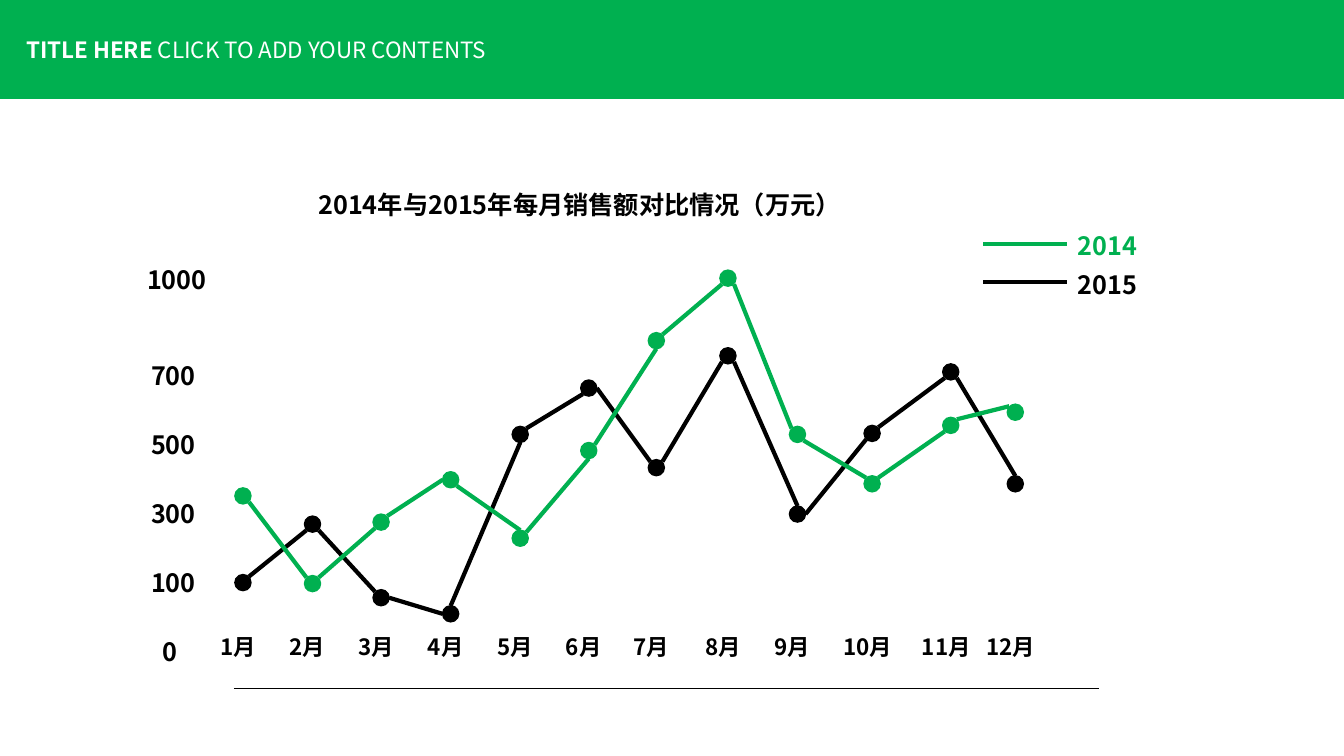
"""Build the slide that compares monthly sales of 2014 and 2015."""
from lxml.etree import SubElement
from pptx import Presentation
from pptx.dml.color import RGBColor
from pptx.enum.shapes import MSO_CONNECTOR, MSO_SHAPE
from pptx.enum.text import MSO_ANCHOR, MSO_AUTO_SIZE, PP_ALIGN
from pptx.oxml.ns import qn
from pptx.util import Inches, Pt

COLORS = {"green": "00B050", "black": "000000", "white": "FFFFFF"}
FONT = "Noto Sans CJK SC"
COLUMNS, ROWS = 13.33, 7.5
DOT = 0.16
DIAGONAL = 0.06
COMPASS = {"N": (0, -DOT / 2), "S": (0, DOT / 2), "W": (-DOT / 2, 0), "E": (DOT / 2, 0),
           "NW": (-DIAGONAL, -DIAGONAL), "NE": (DIAGONAL, -DIAGONAL),
           "SW": (-DIAGONAL, DIAGONAL), "SE": (DIAGONAL, DIAGONAL)}

MONTH_COLUMNS = [2.41, 3.1, 3.78, 4.47, 5.16, 5.84, 6.51, 7.22, 7.91, 8.65, 9.43, 10.07]
SERIES = [
    {"color": "black",
     "rows": [5.78, 5.2, 5.93, 6.09, 4.31, 3.85, 4.64, 3.53, 5.1, 4.3, 3.69, 4.8],
     "joins": "NE-SW SE-NW E-W N-S NE-SW E-NW NE-SW SE-N E-SW NE-SW SE-N"},
    {"color": "green",
     "rows": [4.92, 5.79, 5.18, 4.76, 5.34, 4.47, 3.38, 2.76, 4.31, 4.8, 4.22, 4.09],
     "joins": "SE-NW NE-SW NE-W SE-N NE-S NE-S NE-SW SE-NW SE-NW NE-SW NE-NW"},
]
AXIS_LABELS = [("0", 1.51, 0.63, 6.26), ("100", 1.4, 0.75, 5.58), ("300", 1.4, 0.75, 4.89),
               ("500", 1.4, 0.75, 4.21), ("700", 1.4, 0.75, 3.53), ("1000", 1.36, 0.79, 2.57)]
LEGEND = [("2014", "green", 2.24), ("2015", "black", 2.62)]


class SlideBuilder:
    """Draw styled elements on one slide with a grid of one-inch cells."""

    def __init__(self, deck):
        """Add a title-only page to the deck."""
        self.page = deck.slides.add_slide(deck.slide_layouts[5])

    def color(self, name):
        """Return a named colour."""
        return RGBColor.from_string(COLORS[name])

    def fill_text(self, box, spans, size, color):
        """Fill a box with (text, bold) spans."""
        frame = box.text_frame
        frame_format = {"word_wrap": True, "auto_size": MSO_AUTO_SIZE.SHAPE_TO_FIT_TEXT,
                        "vertical_anchor": MSO_ANCHOR.TOP}
        for name, value in frame_format.items():
            setattr(frame, name, value)
        para = frame.paragraphs[0]
        para.alignment = PP_ALIGN.LEFT
        para.line_spacing = 1.0
        for text, bold in spans:
            span = para.add_run()
            span.text = text
            font_format = {"size": Pt(size), "name": FONT, "bold": bold}
            for name, value in font_format.items():
                setattr(span.font, name, value)
            span.font.color.rgb = self.color(color)
        for properties in box.element.iter(qn("a:rPr")):
            SubElement(properties, qn("a:ea")).set("typeface", FONT)

    def title(self, spans, column, row, width, height):
        """Place and fill the title placeholder."""
        box = self.page.shapes.title
        place = {"left": column, "top": row, "width": width, "height": height}
        for name, value in place.items():
            setattr(box, name, Inches(value))
        self.fill_text(box, spans, 16, "white")

    def label(self, text, column, row, width, height=0.4, size=18, color="black"):
        """Add a bold text label."""
        box = self.page.shapes.add_textbox(*map(Inches, (column, row, width, height)))
        self.fill_text(box, [(text, True)], size, color)

    def shape(self, kind, color, column, row, width, height):
        """Add a preset shape in one colour."""
        shape = self.page.shapes.add_shape(kind, *map(Inches, (column, row, width, height)))
        shape.shadow.inherit = False
        shape.fill.solid()
        shape.fill.fore_color.rgb = self.color(color)
        shape.line.color.rgb = self.color(color)
        shape.line.width = Pt(1)
        return shape

    def line(self, start, end, color="black", weight=3):
        """Add a straight line between two grid points."""
        line = self.page.shapes.add_connector(
            MSO_CONNECTOR.STRAIGHT, *map(Inches, (*start, *end)))
        line.line.color.rgb = self.color(color)
        line.line.width = Pt(weight)
        SubElement(line.element.spPr, qn("a:effectLst"))

    def series(self, color, rows, joins):
        """Draw the dots of one year and the lines that join them."""
        points = list(zip(MONTH_COLUMNS, rows))
        for column, row in points:
            self.shape(MSO_SHAPE.OVAL, color, column - DOT / 2, row - DOT / 2, DOT, DOT)
        for start, end, join in zip(points, points[1:], joins.split()):
            ends = [(point[0] + COMPASS[side][0], point[1] + COMPASS[side][1])
                    for point, side in zip((start, end), join.split("-"))]
            self.line(*ends, color)


def main():
    """Build and save the deck."""
    deck = Presentation()
    deck.slide_width, deck.slide_height = Inches(COLUMNS), Inches(ROWS)
    builder = SlideBuilder(deck)

    band = builder.shape(MSO_SHAPE.RECTANGLE, "green", 0, 0, COLUMNS, 0.98)
    builder.page.shapes.title.element.addprevious(band.element)
    builder.title([("TITLE HERE ", True), ("CLICK TO ADD YOUR CONTENTS", False)],
                  0.16, 0.31, 5.25, 0.37)

    for text, column, width, row in AXIS_LABELS:
        builder.label(text, column, row, width)
    for month, column in enumerate(MONTH_COLUMNS, 1):
        width = 0.65 if month < 10 else 0.77
        builder.label(f"{month}月", column - width / 2, 6.23, width, 0.64, size=16)
    builder.label("2014年与2015年每月销售额对比情况（万元）", 3.06, 1.83, 6.04)

    for year in SERIES:
        builder.series(**year)
    for text, color, row in LEGEND:
        builder.line((9.75, row + 0.18), (10.58, row + 0.18), color)
        builder.label(text, 10.59, row, 1.6, color=color)
    builder.line((2.32, 6.83), (10.9, 6.83), weight=0.5)
    deck.save("out.pptx")


if __name__ == "__main__":
    main()
